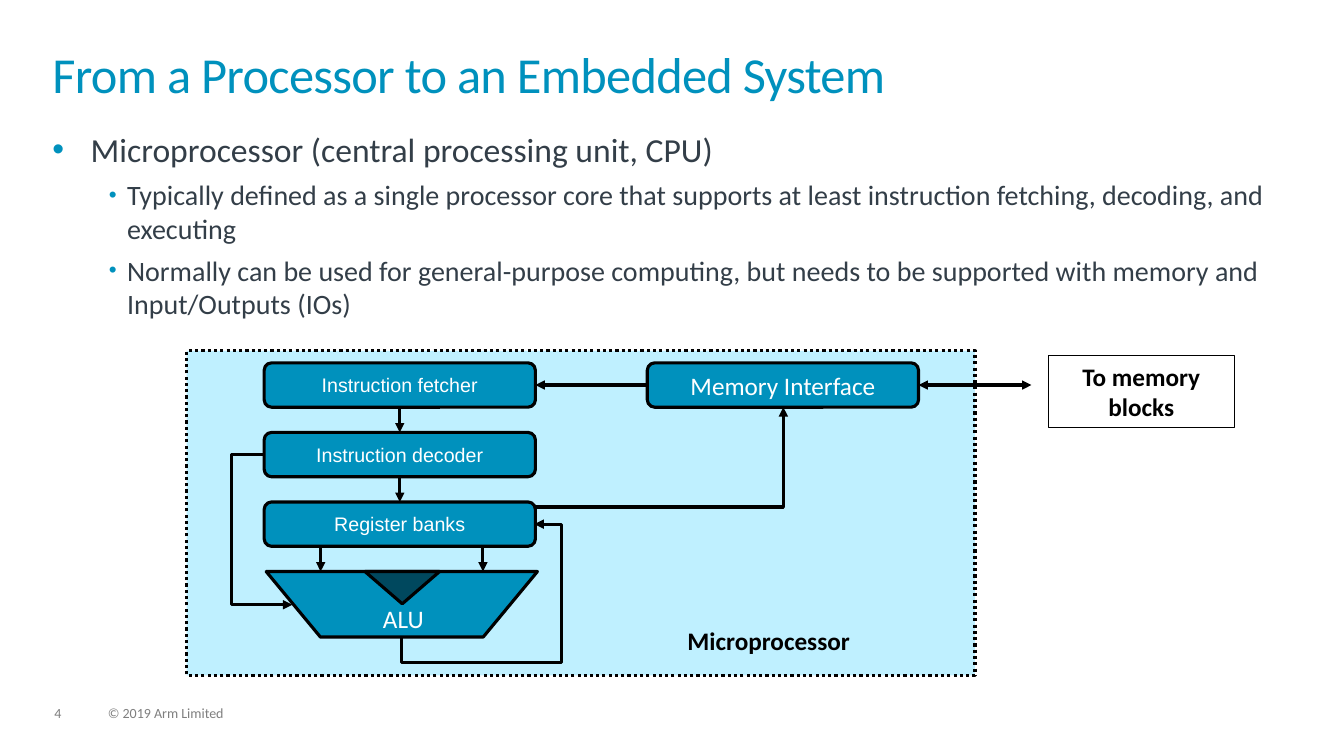
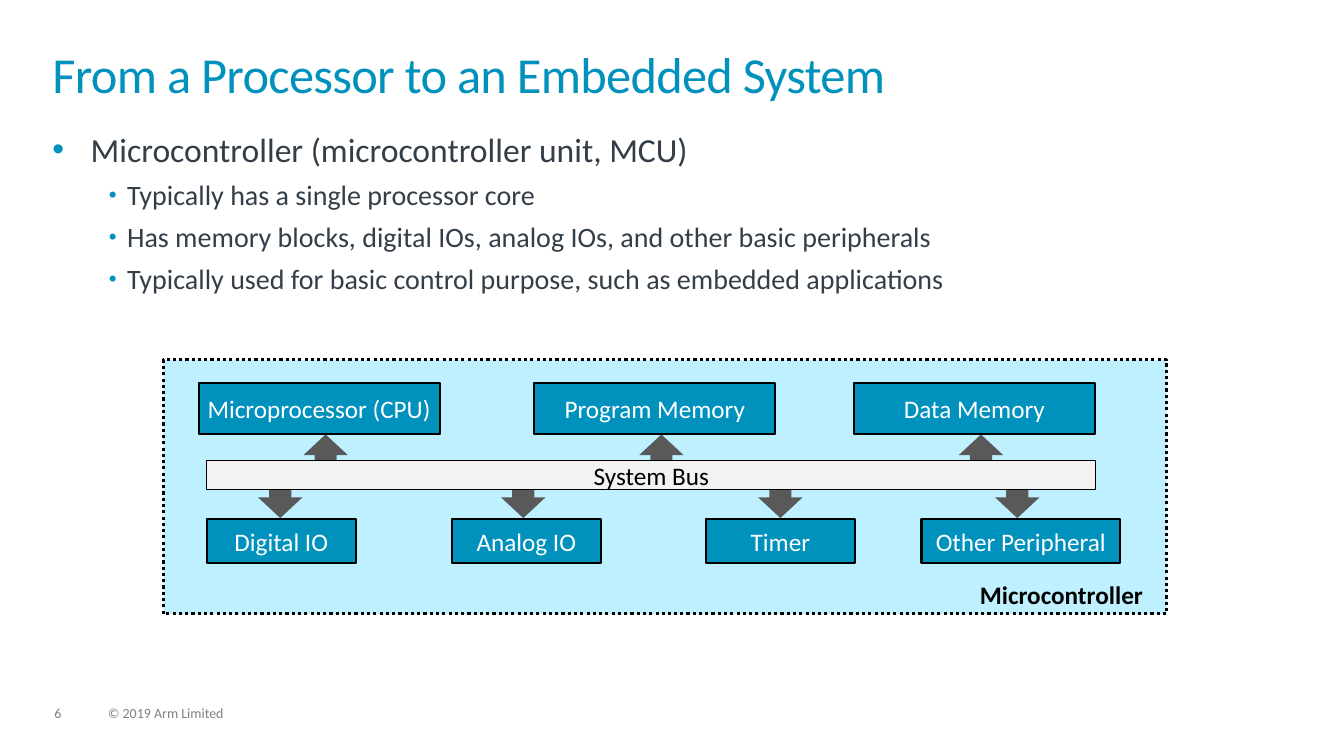
from dataclasses import dataclass
from typing import NamedTuple, Optional

import lxml.etree
import pptx
import pptx.dml.color
import pptx.enum.dml
import pptx.enum.shapes
import pptx.enum.text
import pptx.oxml.ns
import pptx.util

Inches = pptx.util.Inches
Pt = pptx.util.Pt
RGBColor = pptx.dml.color.RGBColor
MSO_SHAPE = pptx.enum.shapes.MSO_SHAPE
MSO_CONNECTOR = pptx.enum.shapes.MSO_CONNECTOR
PP_ALIGN = pptx.enum.text.PP_ALIGN
qn = pptx.oxml.ns.qn

BLUE = RGBColor(0x00, 0x91, 0xBD)
DEEP_BLUE = RGBColor(0x00, 0x48, 0x5E)
PALE_BLUE = RGBColor(0xBF, 0xF0, 0xFF)
SLATE = RGBColor(0x33, 0x3E, 0x48)
FOOTER_GREY = RGBColor(0x7F, 0x7F, 0x7F)
ARROW_GREY = RGBColor(0x59, 0x59, 0x59)
BUS_GREY = RGBColor(0xF2, 0xF2, 0xF2)
BLACK = RGBColor(0x00, 0x00, 0x00)
WHITE = RGBColor(0xFF, 0xFF, 0xFF)

TITLE = "From a Processor to an Embedded System"
COPYRIGHT = "© 2019 Arm Limited"


class Box(NamedTuple):
    x: float
    y: float
    w: float
    h: float


@dataclass(frozen=True)
class Font:
    size: int
    color: RGBColor
    name: str = "Calibri"
    bold: bool = False


@dataclass(frozen=True)
class Look:
    fill: Optional[RGBColor] = None
    line: float = 0
    dotted: bool = False


@dataclass(frozen=True)
class Elbow:
    preset: str
    begin: tuple[float, float]
    end: tuple[float, float]
    adjust: tuple[int, ...] = ()
    rotation: int = 0


class Peripheral(NamedTuple):
    label: str
    x: float
    w: float
    arrow_x: float


TITLE_FONT = Font(36, BLUE)
FOOTER_FONT = Font(10, FOOTER_GREY)
HEAD_FONT = Font(24, SLATE)
POINT_FONT = Font(20, SLATE)
LABEL_FONT = Font(18, WHITE)
STAGE_FONT = Font(14, WHITE, "Arial")
BUS_FONT = Font(18, BLACK)
CAPTION_FONT = Font(18, BLACK, bold=True)

FRAME = Look(PALE_BLUE, 2.25, True)
BLOCK = Look(BLUE, 2.25)
UNIT = Look(BLUE, 1.5)
BUS = Look(BUS_GREY, 0.75)
OUTLINE = Look(None, 0.75)
ARROW = Look(ARROW_GREY)


def add_run(p, text: str, font: Font):
    r = p.add_run()
    r.text = text
    r.font.name = font.name
    r.font.size = Pt(font.size)
    r.font.bold = font.bold
    r.font.color.rgb = font.color
    return r


def add_text(s, box: Box, text: str, font: Font, inset: bool = False, spacing: float = 1.0):
    tf = s.shapes.add_textbox(*map(Inches, box)).text_frame
    tf.word_wrap = True
    if not inset:
        clear_margins(tf)
    p = tf.paragraphs[0]
    p.line_spacing = spacing
    return add_run(p, text, font)


def clear_margins(tf) -> None:
    tf.margin_left = tf.margin_top = tf.margin_right = tf.margin_bottom = 0


def add_block(s, kind, box: Box, look: Look, lines: tuple[str, ...] = (), font: Font = LABEL_FONT):
    sp = s.shapes.add_shape(kind, *map(Inches, box))
    sp.shadow.inherit = False
    if look.fill is None:
        sp.fill.background()
    else:
        sp.fill.solid()
        sp.fill.fore_color.rgb = look.fill
    if look.line:
        sp.line.color.rgb = BLACK
        sp.line.width = Pt(look.line)
        if look.dotted:
            sp.line.dash_style = pptx.enum.dml.MSO_LINE.ROUND_DOT
    else:
        sp.line.fill.background()
    tf = sp.text_frame
    tf.word_wrap = False
    for i, text in enumerate(lines):
        p = tf.add_paragraph() if i else tf.paragraphs[0]
        p.alignment = PP_ALIGN.CENTER
        add_run(p, text, font)
    return sp


def add_arrow(s, begin, end, kind=MSO_CONNECTOR.STRAIGHT, double: bool = False):
    c = s.shapes.add_connector(kind, *map(Inches, (*begin, *end)))
    c.line.color.rgb = BLACK
    c.line.width = Pt(2.25)
    sppr = c._element.spPr
    ln = sppr.find(qn("a:ln"))
    for tag in ("a:headEnd", "a:tailEnd") if double else ("a:tailEnd",):
        lxml.etree.SubElement(ln, qn(tag), type="triangle")
    lxml.etree.SubElement(sppr, qn("a:effectLst"))
    return c


def add_elbow(s, elbow: Elbow) -> None:
    c = add_arrow(s, elbow.begin, elbow.end, MSO_CONNECTOR.ELBOW)
    sppr = c._element.spPr
    if elbow.rotation:
        sppr.find(qn("a:xfrm")).set("rot", str(elbow.rotation * 60000))
    geom = sppr.find(qn("a:prstGeom"))
    geom.set("prst", elbow.preset)
    guides = geom.find(qn("a:avLst"))
    for i, value in enumerate(elbow.adjust, 1):
        lxml.etree.SubElement(guides, qn("a:gd"), name=f"adj{i}", fmla=f"val {value}")


def join(s, source, source_side: int, target, target_side: int) -> None:
    c = add_arrow(s, (0, 0), (1, 1))
    c.begin_connect(source, source_side)
    c.end_connect(target, target_side)


def add_bullet(p, margin: float, indent: float, size: int) -> None:
    ppr = p._p.get_or_add_pPr()
    ppr.set("marL", str(Inches(margin)))
    ppr.set("indent", str(Inches(indent)))
    color = lxml.etree.SubElement(ppr, qn("a:buClr"))
    lxml.etree.SubElement(color, qn("a:srgbClr"), val=str(BLUE))
    lxml.etree.SubElement(ppr, qn("a:buSzPct"), val=str(size * 1000))
    lxml.etree.SubElement(ppr, qn("a:buFont"), typeface="Arial")
    lxml.etree.SubElement(ppr, qn("a:buChar"), char="•")


def add_base(prs, number: int, head: str, points: tuple[str, ...]):
    s = prs.slides.add_slide(prs.slide_layouts[6])
    add_text(s, Box(0.54, 7.01, 0.34, 0.15), str(number), FOOTER_FONT, spacing=0.9)
    add_text(s, Box(1.07, 7.01, 5.07, 0.15), COPYRIGHT, FOOTER_FONT, spacing=0.9)
    r = add_text(s, Box(0.52, 0.52, 12.28, 0.72), TITLE, TITLE_FONT, spacing=0.85)
    r._r.get_or_add_rPr().set("spc", "-50")

    tf = s.shapes.add_textbox(*map(Inches, (0.52, 1.28, 12.28, 2))).text_frame
    tf.word_wrap = True
    clear_margins(tf)
    p = tf.paragraphs[0]
    add_bullet(p, 0.38, -0.38, 100)
    add_run(p, head, HEAD_FONT)
    for point in points:
        p = tf.add_paragraph()
        p.level = 1
        p.space_before = Pt(6)
        add_bullet(p, 0.74, -0.18, 80)
        add_run(p, point, POINT_FONT)
    return s


def build_microprocessor(prs) -> None:
    s = add_base(prs, 4, "Microprocessor (central processing unit, CPU)", (
        "Typically defined as a single processor core that supports at least "
        "instruction fetching, decoding, and executing",
        "Normally can be used for general-purpose computing, but needs to be "
        "supported with memory and Input/Outputs (IOs)",
    ))
    add_block(s, MSO_SHAPE.RECTANGLE, Box(1.85, 3.48, 7.82, 3.22), FRAME)

    top, pitch, width, height = 3.6, 0.69, 2.69, 0.44
    stages = [
        add_block(s, MSO_SHAPE.ROUNDED_RECTANGLE, Box(2.62, top + i * pitch, width, height),
                  BLOCK, (label,), STAGE_FONT)
        for i, label in enumerate(("Instruction fetcher", "Instruction decoder", "Register banks"))
    ]
    memory = add_block(s, MSO_SHAPE.ROUNDED_RECTANGLE, Box(6.42, top, width, height),
                       BLOCK, ("Memory Interface",))

    alu_top = top + 3 * pitch
    add_block(s, MSO_SHAPE.FLOWCHART_MANUAL_OPERATION, Box(2.64, alu_top, width, 0.65), BLOCK)
    notch = add_block(s, MSO_SHAPE.ISOSCELES_TRIANGLE, Box(3.62, alu_top, 0.74, 0.32),
                      Look(DEEP_BLUE, 2.25))
    notch.rotation = 180
    add_text(s, Box(3.7, 5.94, 1.03, 0.4), "ALU", LABEL_FONT, inset=True)

    for upper, lower in zip(stages, stages[1:]):
        join(s, upper, 2, lower, 0)
    for x in (3.18, 4.79):
        add_arrow(s, (x, 5.42), (x, alu_top))
    join(s, memory, 1, stages[0], 3)

    for elbow in (
        Elbow("bentConnector4", (5.2, 6.42), (4.08, 5.1), (-22400, 120400), 90),
        Elbow("bentConnector3", (2.62, 4.51), (2.9, 6), (-115500,)),
        Elbow("bentConnector2", (5.31, 5.03), (7.77, 4.04)),
    ):
        add_elbow(s, elbow)

    add_block(s, MSO_SHAPE.RECTANGLE, Box(10.4, 3.53, 1.84, 0.71), OUTLINE,
              ("To memory", "blocks"), CAPTION_FONT)
    c = add_arrow(s, (10.23, 3.82), (9.11, 3.82), double=True)
    c.end_connect(memory, 3)
    add_text(s, Box(6.72, 6.15, 2.4, 0.4), "Microprocessor", CAPTION_FONT, inset=True)


def build_microcontroller(prs) -> None:
    s = add_base(prs, 6, "Microcontroller (microcontroller unit, MCU)", (
        "Typically has a single processor core",
        "Has memory blocks, digital IOs, analog IOs, and other basic peripherals",
        "Typically used for basic control purpose, such as embedded applications",
    ))
    add_block(s, MSO_SHAPE.RECTANGLE, Box(1.62, 3.57, 9.95, 2.52), FRAME)

    for label, x in (("Microprocessor (CPU)", 1.97), ("Program Memory", 5.3), ("Data Memory", 8.47)):
        add_block(s, MSO_SHAPE.UP_ARROW, Box(x + 1.04, 4.31, 0.44, 0.41), ARROW)
        add_block(s, MSO_SHAPE.RECTANGLE, Box(x, 3.8, 2.39, 0.51), UNIT, (label,))

    for unit in (
        Peripheral("Digital IO", 2.05, 1.48, 2.56),
        Peripheral("Analog IO", 4.48, 1.48, 4.97),
        Peripheral("Timer", 7, 1.48, 7.52),
        Peripheral("Other Peripheral", 9.14, 1.97, 9.87),
    ):
        add_block(s, MSO_SHAPE.RECTANGLE, Box(unit.x, 5.15, unit.w, 0.44), UNIT, (unit.label,))
        add_block(s, MSO_SHAPE.DOWN_ARROW, Box(unit.arrow_x, 4.73, 0.44, 0.41), ARROW)

    add_block(s, MSO_SHAPE.RECTANGLE, Box(2.05, 4.57, 8.82, 0.29), BUS, ("System Bus",), BUS_FONT)
    add_text(s, Box(9.62, 5.7, 2.4, 0.4), "Microcontroller", CAPTION_FONT, inset=True)


def main() -> None:
    prs = pptx.Presentation()
    prs.slide_width = Inches(13.33)
    prs.slide_height = Inches(7.5)
    build_microprocessor(prs)
    build_microcontroller(prs)
    prs.save("out.pptx")


if __name__ == "__main__":
    main()
